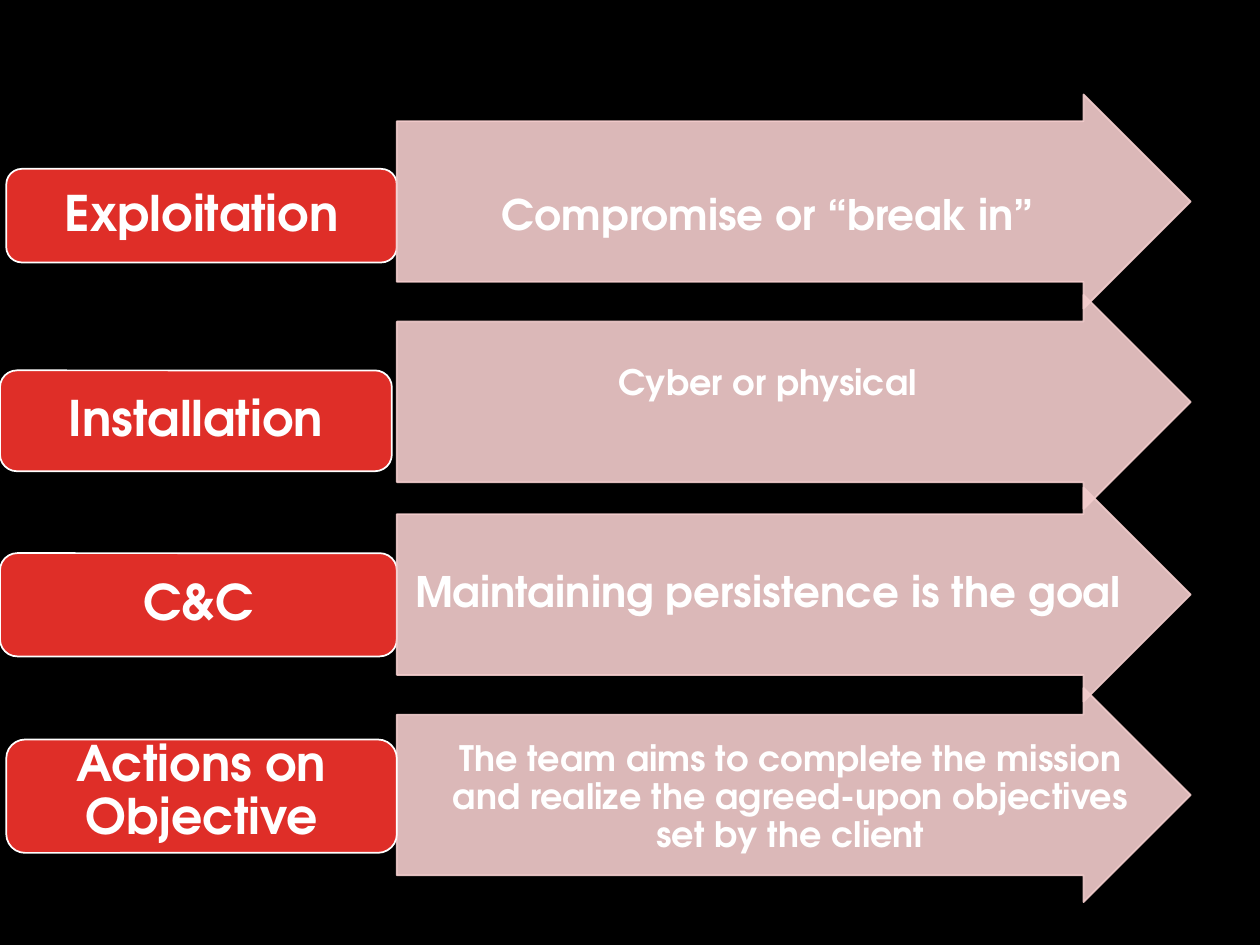
from lxml.etree import SubElement as Sub
from pptx import Presentation
from pptx.dml.color import RGBColor
from pptx.enum.shapes import MSO_SHAPE as Kind
from pptx.enum.text import MSO_ANCHOR as Anchor, PP_ALIGN as Align
from pptx.oxml.ns import qn
from pptx.util import Pt

BLACK = RGBColor(0x00, 0x00, 0x00)
WHITE = RGBColor(0xFF, 0xFF, 0xFF)
RED = RGBColor(0xDF, 0x2E, 0x28)
PINK = RGBColor(0xF3, 0xCD, 0xCD)
FONT = "TeX Gyre Adventor"

# label, pill box, label top, label height
STAGES = [
    ("Exploitation", (3.6, 96.5, 223.2, 53.5), 99.4, 48),
    ("Installation", (0, 211.7, 223.9, 57.6), 214.6, 51.8),
    ("C&C", (0, 316.1, 226.8, 59), 319, 53.3),
    ("Actions on Objective", (3.6, 422.6, 223.2, 64.8), 423.4, 58.3),
]
# note, arrow top, text left, text top, text width, size, anchor, spacing
NOTES = [
    ("Compromise or “break in”", 54, 226.8, 76.3, 424, 24, Anchor.MIDDLE, 1),
    ("Cyber or physical", 168.5, 226.8, 208.8, 424, 20, Anchor.TOP, 0.9),
    ("Maintaining persistence is the goal", 278.6, 226.8, 293.8, 424, 24,
     Anchor.MIDDLE, 0.9),
    ("The team aims to complete the mission and realize the agreed-upon "
     "objectives set by the client", 393.1, 251.3, 410.4, 401, 20,
     Anchor.MIDDLE, 0.9),
]
ARROW_X, ARROW_W, ARROW_H, NOTE_H = 226.8, 453.6, 122.4, 91.4
EDGE, PAD_X, PAD_Y = 2.9, 8.64, 4.32

deck = Presentation()
deck.slide_width, deck.slide_height = Pt(720), Pt(540)
slide = deck.slides.add_slide(deck.slide_layouts[6])
slide.background.fill.solid()
slide.background.fill.fore_color.rgb = BLACK


def add_form(kind, box, fill, line, alpha=None):
    form = slide.shapes.add_shape(kind, *map(Pt, box))
    form.shadow.inherit = False
    form.fill.solid()
    form.fill.fore_color.rgb = fill
    form.line.color.rgb = line
    form.line.width = Pt(1)
    if alpha:
        for color in form.element.spPr.iter(qn("a:srgbClr")):
            Sub(color, qn("a:alpha"), val=str(alpha * 1000))
    return form


def add_text(text, box, size, anchor, gap, pad=(0, 0)):
    frame = slide.shapes.add_textbox(*map(Pt, box)).text_frame
    frame.word_wrap = True
    frame.vertical_anchor = anchor
    frame.margin_left = frame.margin_right = Pt(pad[0])
    frame.margin_top = frame.margin_bottom = Pt(pad[1])
    para = frame.paragraphs[0]
    para.alignment = Align.CENTER
    para.line_spacing = gap
    run = para.add_run()
    run.text = text
    run.font.name, run.font.size, run.font.bold = FONT, Pt(size), True
    run.font.color.rgb = WHITE


def add_stage(label, box, top, high):
    add_form(Kind.ROUNDED_RECTANGLE, box, RED, WHITE)
    left, _, wide, _ = box
    add_text(label, (left + EDGE, top, wide - 2 * EDGE, high), 28,
             Anchor.MIDDLE, 0.9, (PAD_X, PAD_Y))


def add_note(note, y, left, top, wide, size, anchor, gap):
    arrow = add_form(Kind.RIGHT_ARROW, (ARROW_X, y, ARROW_W, ARROW_H),
                     PINK, PINK, 90)
    arrow.adjustments[0], arrow.adjustments[1] = 0.75, 0.5
    add_text(note, (left, top, wide, NOTE_H), size, anchor, gap)


for stage in STAGES[:-1]:
    add_stage(*stage)
for note in NOTES:
    add_note(*note)
add_stage(*STAGES[-1])

deck.save("out.pptx")
